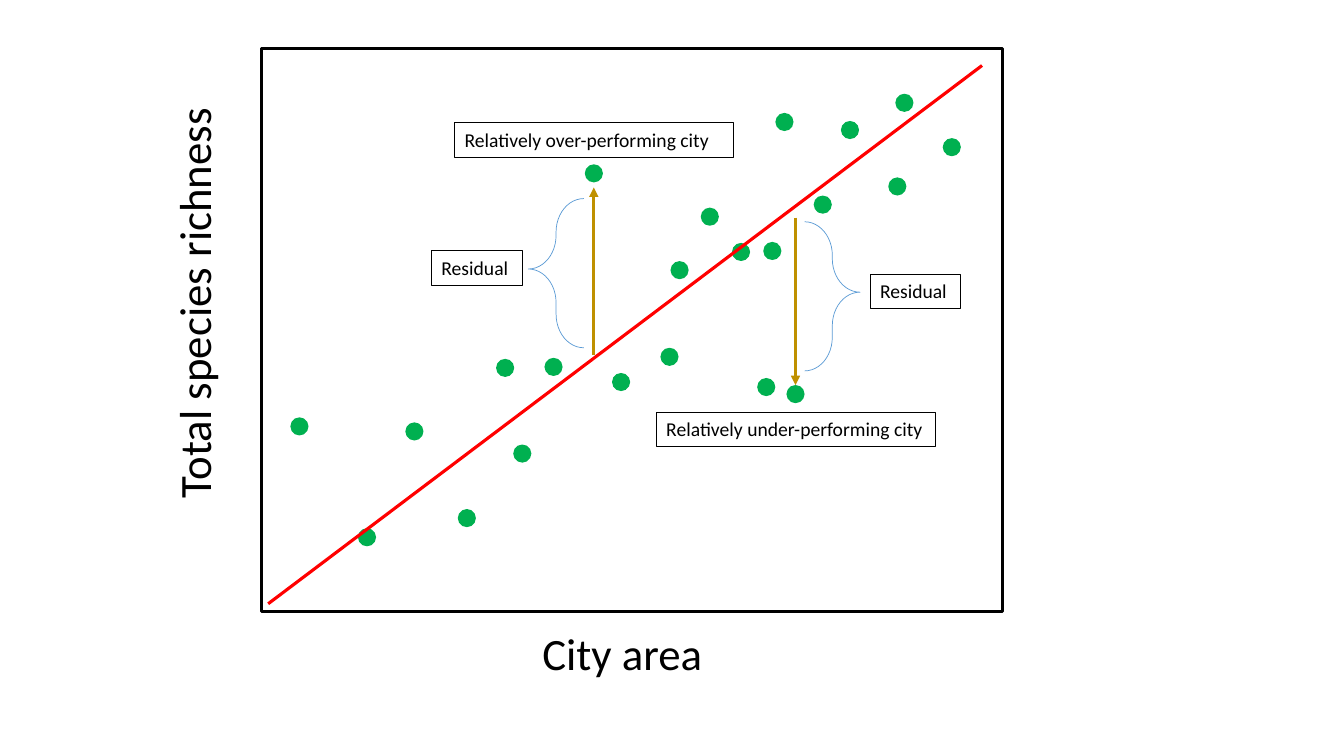
from lxml.etree import SubElement
from pptx import Presentation
from pptx.dml.color import RGBColor
from pptx.enum.shapes import MSO_CONNECTOR, MSO_SHAPE
from pptx.enum.text import MSO_AUTO_SIZE
from pptx.oxml.ns import qn
from pptx.util import Inches, Pt

BLACK = RGBColor(0x00, 0x00, 0x00)
WHITE = RGBColor(0xFF, 0xFF, 0xFF)
GREEN = RGBColor(0x00, 0xB0, 0x50)
RED = RGBColor(0xFF, 0x00, 0x00)
GOLD = RGBColor(0xBF, 0x90, 0x00)
BLUE = RGBColor(0x5B, 0x9B, 0xD5)

COLUMNS, ROWS = 1333, 750
CELL = Inches(0.01)

PLOT_FRAME = (259, 48, 735, 559)
AXIS_TITLES = [
    ("City area", (528, 616, 478, 64), 0),
    ("Total species richness", (-47, 233, 478, 64), 270),
]
CITY_SIZE = 18
CITIES = [
    (288, 414), (355, 524), (402, 419), (454, 505), (492, 356), (509, 441),
    (540, 355), (580, 163), (607, 370), (655, 345), (665, 259), (695, 206),
    (726, 241), (751, 375), (757, 240), (769, 112), (780, 382), (807, 194),
    (834, 120), (881, 176), (888, 93), (935, 137),
]
TREND = ((266, 599), (974, 65))
RESIDUALS = [((789, 216), (789, 382)), ((589, 352), (589, 186))]
BRACE_SIZE = (55, 148)
BRACES = [(MSO_SHAPE.RIGHT_BRACE, (798, 220)), (MSO_SHAPE.LEFT_BRACE, (524, 197))]
BRACE_BENDS = (0.605, 0.472)
LABEL_HEIGHT = 34
LABELS = [
    ("Relatively over-performing city", (451, 122), 277),
    ("Residual", (428, 249), 90),
    ("Residual", (863, 272), 90),
    ("Relatively under-performing city", (651, 409), 277),
]


def cells(values):
    return [CELL * value for value in values]


def add_figure(slide, kind, place, fill=None, line=None, width=0):
    figure = slide.shapes.add_shape(kind, *cells(place))
    figure.shadow.inherit = False
    if fill is None:
        figure.fill.background()
    else:
        figure.fill.solid()
        figure.fill.fore_color.rgb = fill
    if line is None:
        figure.line.fill.background()
    else:
        figure.line.color.rgb = line
        figure.line.width = Pt(width)
    return figure


def add_line(slide, start, end, color):
    line = slide.shapes.add_connector(MSO_CONNECTOR.STRAIGHT, *cells(start + end))
    line.line.color.rgb = color
    line.line.width = Pt(2.25)
    SubElement(line._element.spPr, qn("a:effectLst"))
    return line


def add_text(slide, text, place, size):
    box = slide.shapes.add_textbox(*cells(place))
    frame = box.text_frame
    frame.word_wrap = True
    frame.auto_size = MSO_AUTO_SIZE.SHAPE_TO_FIT_TEXT
    paragraph = frame.paragraphs[0]
    paragraph.text = text
    paragraph.font.name = "Calibri"
    paragraph.font.size = Pt(size)
    paragraph.font.color.rgb = BLACK
    return box


def main():
    deck = Presentation()
    deck.slide_width, deck.slide_height = cells((COLUMNS, ROWS))
    slide = deck.slides.add_slide(deck.slide_layouts[6])

    add_figure(slide, MSO_SHAPE.RECTANGLE, PLOT_FRAME, WHITE, BLACK, 2.25)
    for title, place, turn in AXIS_TITLES:
        add_text(slide, title, place, 32).rotation = turn

    for city in CITIES:
        add_figure(slide, MSO_SHAPE.OVAL, city + (CITY_SIZE, CITY_SIZE), GREEN)

    add_line(slide, *TREND, RED)
    for start, end in RESIDUALS:
        arrow = add_line(slide, start, end, GOLD)
        SubElement(arrow.line._get_or_add_ln(), qn("a:tailEnd"), type="triangle")

    for kind, corner in BRACES:
        brace = add_figure(slide, kind, corner + BRACE_SIZE, line=BLUE, width=0.5)
        for index, bend in enumerate(BRACE_BENDS):
            brace.adjustments[index] = bend

    for text, corner, width in LABELS:
        label = add_text(slide, text, corner + (width, LABEL_HEIGHT), 14)
        label.line.color.rgb = BLACK
        label.line.width = Pt(0.75)

    deck.save("out.pptx")


if __name__ == "__main__":
    main()
